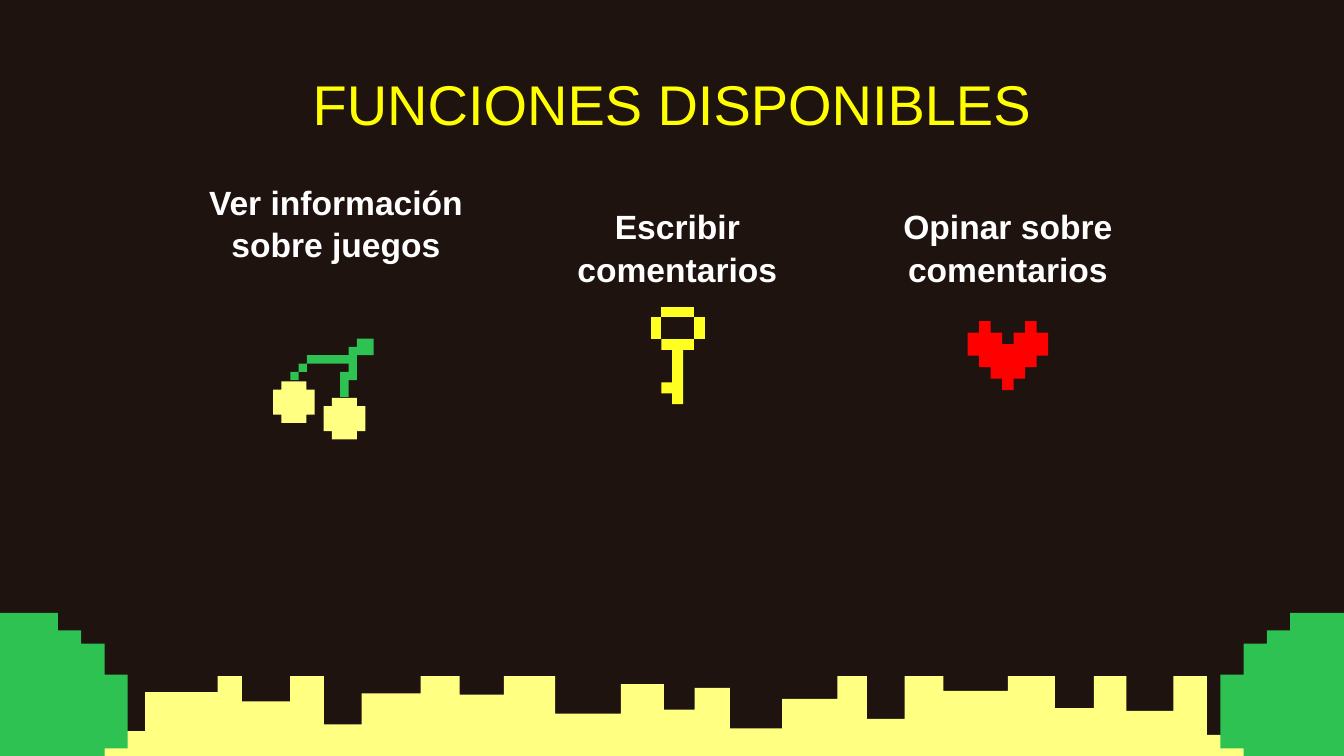
from pptx import Presentation
from pptx.dml.color import RGBColor
from pptx.enum.text import MSO_ANCHOR, PP_ALIGN
from pptx.util import Pt

TOP = MSO_ANCHOR.TOP
CENTER = PP_ALIGN.CENTER
FONT = "Arial"
DARK, WHITE, RED = "1E130F", "FFFFFF", "FF0000"
CREAM, GREEN = "FFFF82", "2DC252"
YELLOW, GOLD = "FFFF00", "FFFF22"

# Outlines list every second corner; each edge pair runs across, then down or up.
CREST = 362.2
GROUND = [
    (-1.4, 374.4), (32.4, CREST), (59.8, 391.7), (77.8, 370.8),
    (116.6, CREST), (129.6, 375.8), (155.5, CREST), (173.5, 388.1),
    (193.7, 371.5), (225.4, CREST), (246.2, 372.2), (270, CREST),
    (297.4, 382.3), (332.6, 366.5), (355.7, 380.2), (372.2, 368.6),
    (391, 390.2), (419, 374.4), (448.6, CREST), (464.4, 385.2),
    (484.6, CREST), (505.4, 370.1), (540, CREST), (565.2, 379.4),
    (586.1, CREST), (603.4, 380.9), (628.6, CREST), (646.6, 393.8),
    (668.9, 374.4), (694.8, CREST), (710.6, 381.6), (720, CREST),
    (725, 599.8),
]
BUSH = [
    (37.4, 0), (83.6, 9.4), (96.1, 16.6), (108.6, 33.1), (121, 72.7),
    (108.6, 97.2), (96.1, 105.8), (24.9, 97.2), (12.4, 72.7), (0, 33.1),
    (12.4, 16.6), (24.9, 9.4),
]

# Icon outlines, counted in pixels
FRUIT = [(1, 0), (4, 1), (5, 4), (4, 5), (1, 4), (0, 1)]
STEM = [
    (8, 0), (10, 2), (8, 5), (7, 7), (6, 4), (7, 3),
    (2, 4), (1, 5), (0, 4), (1, 3), (2, 2), (7, 1),
]
KEY = [
    [(1, 0), (4, 1)],
    [(0, 1), (1, 3)],
    [(4, 1), (5, 3)],
    [(1, 3), (4, 4), (3, 9), (2, 8), (1, 7), (2, 4)],
]
HEART = [
    (1, 0), (2, 1), (3, 2), (4, 1), (5, 0), (6, 1), (7, 3),
    (6, 4), (5, 5), (4, 6), (3, 5), (2, 4), (1, 3), (0, 1),
]


def color(code):
    return RGBColor.from_string(code)


def add_steps(shapes, steps, left, top, cell, fill):
    """Draw a closed stepped outline, scaled by the cell size."""
    dots = []
    for (x, y), (turn, _) in zip(steps, steps[1:] + steps[:1]):
        dots += [(x, y), (turn, y)]
    dots = [(Pt(left + x * cell), Pt(top + y * cell)) for x, y in dots]
    pen = shapes.build_freeform(*dots[0])
    pen.add_line_segments(dots[1:], close=True)
    shape = pen.convert_to_shape()
    shape.shadow.inherit = False
    shape.fill.solid()
    shape.fill.fore_color.rgb = color(fill)
    shape.line.fill.background()


def add_text(slide, text, left, top, width, height, size, fill, bold=False):
    box = slide.shapes.add_textbox(Pt(left), Pt(top), Pt(width), Pt(height))
    frame = box.text_frame
    frame.word_wrap = True
    frame.vertical_anchor = TOP
    frame.margin_left = frame.margin_right = 0
    frame.margin_top = frame.margin_bottom = 0
    frame.text = text
    para = frame.paragraphs[0]
    para.alignment = CENTER
    para.line_spacing = 1.05
    font = para.runs[0].font
    font.name, font.size, font.bold = FONT, Pt(size), bold
    font.color.rgb = color(fill)


def add_cherry(slide):
    shapes = slide.shapes.add_group_shape().shapes
    for left, top in ((146.3, 204.3), (173.4, 213.1)):
        add_steps(shapes, FRUIT, left, top, 4.46, CREAM)
    add_steps(shapes, STEM, 155.5, 181.4, 4.46, GREEN)


def add_key(slide):
    shapes = slide.shapes.add_group_shape().shapes
    for part in KEY:
        add_steps(shapes, part, 348.5, 164.2, 5.82, GOLD)


def main():
    deck = Presentation()
    deck.slide_width, deck.slide_height = Pt(720), Pt(405)
    slide = deck.slides.add_slide(deck.slide_layouts[6])
    back = slide.background.fill
    back.solid()
    back.fore_color.rgb = color(DARK)

    # Scenery
    add_steps(slide.shapes, GROUND, 0, 0, 1, CREAM)
    for left in (653.8, -52.6):
        add_steps(slide.shapes, BUSH, left, 328.3, 1, GREEN)

    # Title and captions
    add_text(slide, "FUNCIONES DISPONIBLES", 56.2, 35.3, 607.7, 36.7, 30, YELLOW)
    for text, left, top, height in (
        ("Ver información sobre juegos", 108, 96.5, 67),
        ("Escribir comentarios", 290.9, 109.4, 36),
        ("Opinar sobre comentarios", 468, 109.4, 43.9),
    ):
        add_text(slide, text, left, top, 144, height, 18, WHITE, True)

    # Icons
    add_cherry(slide)
    add_key(slide)
    add_steps(slide.shapes, HEART, 518.4, 172.1, 6.15, RED)

    deck.save("out.pptx")


if __name__ == "__main__":
    main()
